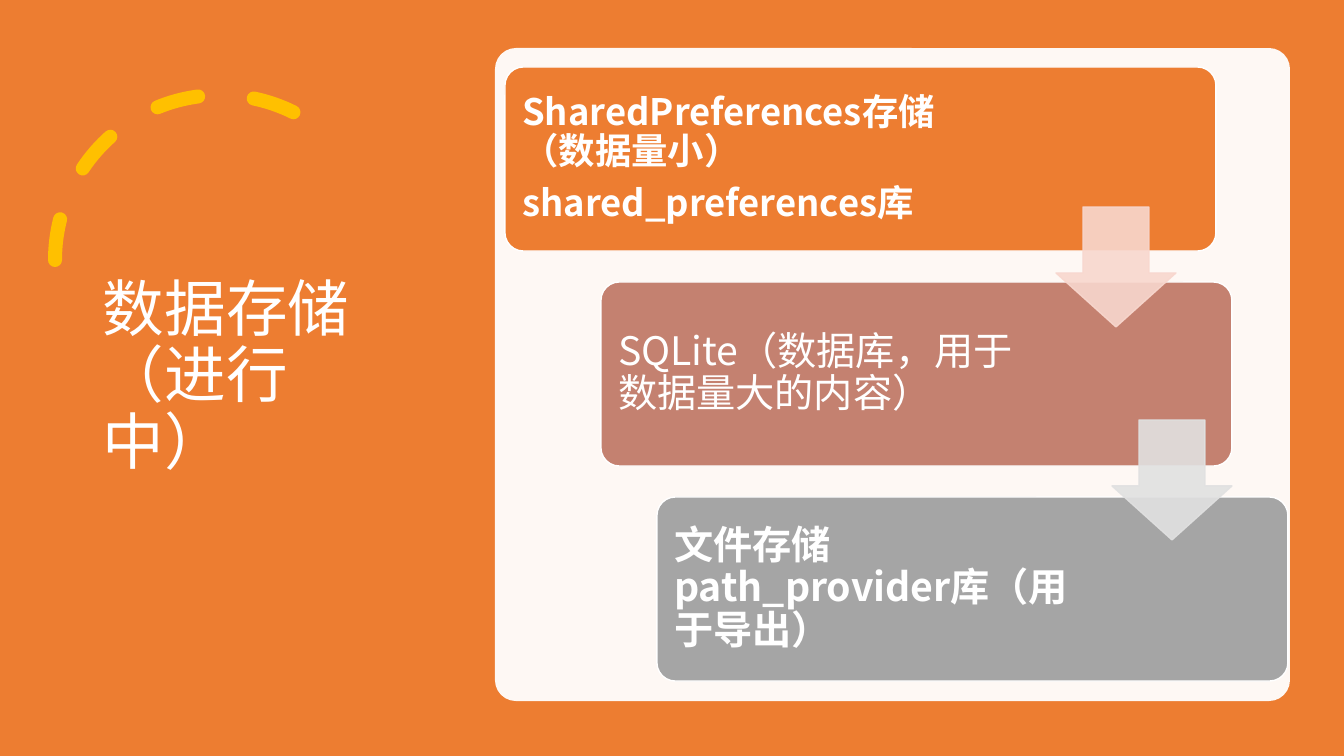
from lxml import etree
from pptx import Presentation
from pptx import util as u
from pptx.dml import color
from pptx.enum import dml, shapes, text
from pptx.oxml import ns

THEME = {
    "font": "Noto Sans CJK SC",
    "white": "FFFFFF", "orange": "ED7D31", "gold": "FFC000",
    "rose": "C48170", "gray": "A5A5A5", "pink": "F8D7CE", "silver": "E1E1E1",
    "title": 44, "card": 28, "card_small": 26,
}
PX = 12192000 / 1344


def add_block(kind, box, fill=None, line=None, width=1, alpha=None, adj=()):
    sp = s.shapes.add_shape(kind, *[round(v * PX) for v in box])
    sp.shadow.inherit = False
    for i, value in enumerate(adj):
        sp.adjustments[i] = value
    if fill:
        sp.fill.solid()
        sp.fill.fore_color.rgb = color.RGBColor.from_string(THEME[fill])
    else:
        sp.fill.background()
    if line:
        sp.line.width = u.Pt(width)
        sp.line.color.rgb = color.RGBColor.from_string(THEME[line])
    else:
        sp.line.fill.background()
    if alpha:
        for clr in sp._element.spPr.iter(ns.qn("a:srgbClr")):
            etree.SubElement(clr, ns.qn("a:alpha"), val=str(alpha * 1000))
    return sp


def write(sp, lines, size, bold, margins, after=0):
    tf = sp.text_frame
    frame = {"word_wrap": True, "auto_size": text.MSO_AUTO_SIZE.NONE,
             "vertical_anchor": text.MSO_ANCHOR.MIDDLE}
    for side, px in zip(("left", "top", "right", "bottom"), margins):
        frame["margin_" + side] = round(px * PX)
    for name, value in frame.items():
        setattr(tf, name, value)
    tf.text = "\n".join(lines)
    for p in tf.paragraphs:
        para = {"alignment": text.PP_ALIGN.LEFT, "line_spacing": 0.9,
                "space_before": u.Pt(0), "space_after": u.Pt(after)}
        for name, value in para.items():
            setattr(p, name, value)
        for r in p.runs:
            fmt = {"name": THEME["font"], "size": u.Pt(THEME[size]), "bold": bold}
            for name, value in fmt.items():
                setattr(r.font, name, value)
            r.font.color.rgb = color.RGBColor.from_string(THEME["white"])
            etree.SubElement(r._r.get_or_add_rPr(), ns.qn("a:ea"), typeface=THEME["font"])


prs = Presentation()
prs.slide_width, prs.slide_height = round(1344 * PX), round(756 * PX)
s = prs.slides.add_slide(prs.slide_layouts[5])
kinds = shapes.MSO_SHAPE

add_block(kinds.RECTANGLE, (0, 0, 1344, 756), "orange")

arc = add_block(kinds.ARC, (55, 95, 330, 330), line="gold", width=10, adj=(146.129, 0))
arc.line.dash_style = dml.MSO_LINE.DASH
arc.line._ln.set("cap", "rnd")
arc._element.spPr.find(ns.qn("a:xfrm")).set("flipH", "1")

title = s.shapes.title
s.shapes._spTree.append(title._element)
for name, px in zip(("left", "top", "width", "height"), (93, 71, 326, 614)):
    setattr(title, name, round(px * PX))
write(title, ["数据存储\v（进行中）"], "title", False, (10, 5, 10, 5))

add_block(kinds.ROUNDED_RECTANGLE, (495, 48, 795, 653), "white", alpha=95, adj=(0.032,))

cards = [
    (505, 711, 222, "orange", "card_small", True,
     ["SharedPreferences存储（数据量小）", "shared_preferences库"]),
    (601, 631, 187, "rose", "card", False, ["SQLite（数据库，用于数据量大的内容）"]),
    (657, 631, 187, "gray", "card", True, ["文件存储path_provider库（用于导出）"]),
]
for i, (left, width, right, fill, size, bold, lines) in enumerate(cards):
    card = add_block(kinds.ROUNDED_RECTANGLE, (left, 67 + 215 * i, width, 184),
                     fill, "white", adj=(0.1,))
    write(card, lines, size, bold, (12, 12, right, 12), after=9)

for i, tint in enumerate(("pink", "silver")):
    add_block(kinds.DOWN_ARROW, (1056 + 56 * i, 207 + 213 * i, 120, 120),
              tint, tint, alpha=90, adj=(0.55, 0.45))

prs.save("out.pptx")
